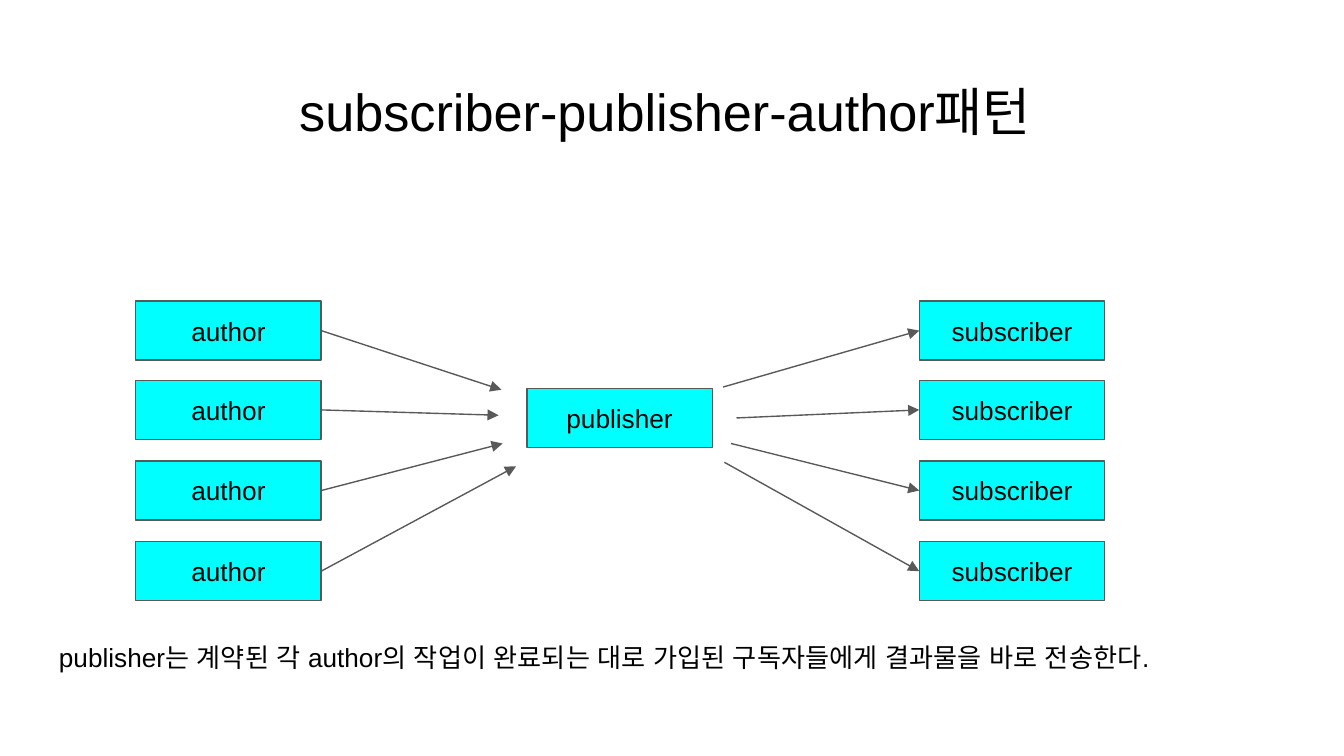
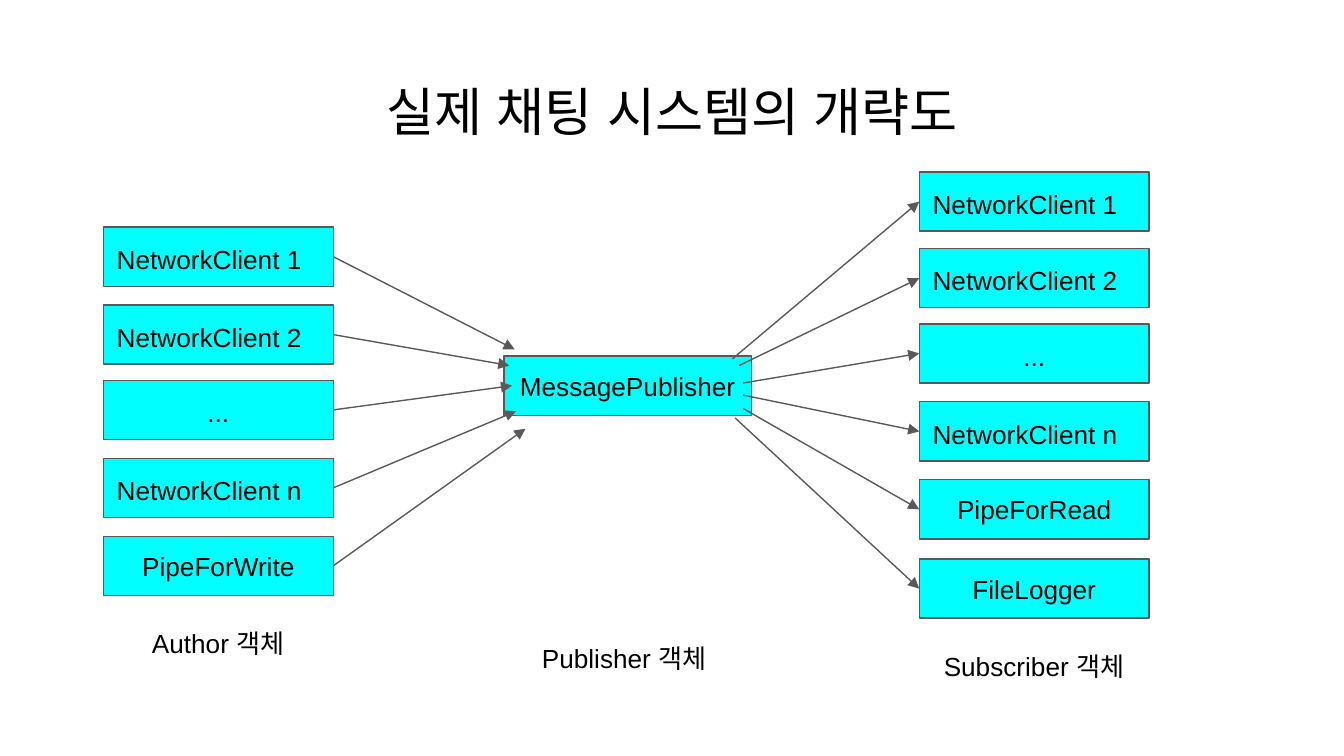
from lxml import etree
from pptx import Presentation
from pptx import util as u
from pptx.dml.color import RGBColor
from pptx.enum import shapes, text
from pptx.oxml.ns import qn

FONT = "Arial"
BLACK, CYAN, GRAY = "000000", "00FFFF", "595959"
SLIDE_WIDTH = 10
BOX_HEIGHT = 0.44
RIGHT_COLUMN = 6.84
LABEL_WIDTH, LABEL_HEIGHT = 1.71, 0.36
LOOSE = 1.15
PATTERN_TOPS = [2.24, 2.83, 3.43, 4.03]

DIAGRAMS = [
    {
        "title": "subscriber-publisher-author패턴 ",
        "box_width": 1.38,
        "authors": {
            "left": 1.01, "tops": PATTERN_TOPS,
            "names": ["author"] * 4,
            "hub_ends": [(3.73, 2.9), (3.71, 3.09), (3.74, 3.3), (3.84, 3.47)],
        },
        "subscribers": {
            "left": RIGHT_COLUMN, "tops": PATTERN_TOPS,
            "names": ["subscriber"] * 4,
            "hub_ends": [(5.38, 2.88), (5.48, 3.11), (5.44, 3.3), (5.39, 3.44)],
        },
        "publisher": ("publisher", 3.92, 2.89, 1.38),
        "body": "publisher는 계약된 각 author의 작업이 완료되는 대로 "
                "가입된 구독자들에게 결과물을 바로 전송한다.",
        "labels": [],
    },
    {
        "title": "실제 채팅 시스템의 개략도",
        "box_width": 1.71,
        "authors": {
            "left": 0.77, "tops": [1.69, 2.27, 2.83, 3.41, 3.99],
            "names": ["NetworkClient 1", "NetworkClient 2", "...",
                      "NetworkClient n", "PipeForWrite"],
            "hub_ends": [(3.83, 2.6), (3.79, 2.72), (3.81, 2.87),
                         (3.84, 3.06), (3.91, 3.19)],
        },
        "subscribers": {
            "left": RIGHT_COLUMN, "tops": [1.28, 1.85, 2.41, 2.99, 3.57, 4.16],
            "names": ["NetworkClient 1", "NetworkClient 2", "...",
                      "NetworkClient n", "PipeForRead", "FileLogger"],
            "hub_ends": [(5.45, 2.67), (5.5, 2.72), (5.53, 2.85),
                         (5.53, 2.94), (5.53, 3.04), (5.47, 3.11)],
        },
        "publisher": ("MessagePublisher", 3.75, 2.65, 1.84),
        "body": None,
        "labels": [("Author 객체", 0.77, 4.57), ("Publisher 객체", 3.79, 4.68),
                   ("Subscriber 객체", RIGHT_COLUMN, 4.74)],
    },
]


def color(hex_value):
    return RGBColor.from_string(hex_value)


def inches(*lengths):
    return [u.Inches(length) for length in lengths]


def write(shape, words, size=14, centered=True, spacing=None,
          anchor=text.MSO_ANCHOR.TOP):
    frame = shape.text_frame
    frame.text = words
    frame.word_wrap = True
    frame.vertical_anchor = anchor
    frame.margin_left = frame.margin_right = u.Inches(0.1)
    frame.margin_top = frame.margin_bottom = u.Inches(0.1)
    paragraph = frame.paragraphs[0]
    paragraph.alignment = text.PP_ALIGN.CENTER if centered else text.PP_ALIGN.LEFT
    if spacing:
        paragraph.line_spacing = spacing
    run = paragraph.runs[0]
    run.font.name, run.font.size = FONT, u.Pt(size)
    run.font.color.rgb = color(BLACK)
    for script in ("a:ea", "a:cs"):
        etree.SubElement(run._r.get_or_add_rPr(), qn(script), typeface=FONT)


def add_text(slide, words, left, top, width, height, **style):
    write(slide.shapes.add_textbox(*inches(left, top, width, height)), words, **style)


def add_box(slide, name, left, top, width):
    box = slide.shapes.add_shape(shapes.MSO_SHAPE.RECTANGLE,
                                 *inches(left, top, width, BOX_HEIGHT))
    box.shadow.inherit = False
    box.fill.solid()
    box.fill.fore_color.rgb = color(CYAN)
    box.line.color.rgb = color(GRAY)
    box.line.width = u.Pt(0.75)
    is_client = name.startswith("NetworkClient")
    write(box, name, centered=not is_client,
          spacing=LOOSE if is_client or name == "..." else None,
          anchor=text.MSO_ANCHOR.MIDDLE)
    return box


def add_column(slide, column, width):
    return [add_box(slide, name, column["left"], top, width)
            for name, top in zip(column["names"], column["tops"])]


def add_arrow(slide, start, end):
    arrow = slide.shapes.add_connector(shapes.MSO_CONNECTOR.STRAIGHT,
                                       *inches(*start, *end))
    arrow.line.color.rgb = color(GRAY)
    arrow.line.width = u.Pt(0.75)
    etree.SubElement(arrow.line._get_or_add_ln(), qn("a:tailEnd"), type="triangle")
    etree.SubElement(arrow._element.spPr, qn("a:effectLst"))
    return arrow


def add_diagram(presentation, diagram):
    slide = presentation.slides.add_slide(presentation.slide_layouts[6])
    add_text(slide, diagram["title"], 0.34, 0.49, 9.32, 0.63, size=28)
    authors, subscribers = diagram["authors"], diagram["subscribers"]
    author_boxes = add_column(slide, authors, diagram["box_width"])
    subscriber_boxes = add_column(slide, subscribers, diagram["box_width"])
    add_box(slide, *diagram["publisher"])
    for box, hub_end in zip(author_boxes, authors["hub_ends"]):
        add_arrow(slide, hub_end, hub_end).begin_connect(box, 3)
    for box, hub_end in zip(subscriber_boxes, subscribers["hub_ends"]):
        add_arrow(slide, hub_end, hub_end).end_connect(box, 1)
    if diagram["body"]:
        add_text(slide, diagram["body"], 0.34, 4.64, 9.32, 0.91,
                 centered=False, spacing=LOOSE)
    for words, left, top in diagram["labels"]:
        add_text(slide, words, left, top, LABEL_WIDTH, LABEL_HEIGHT)


def main():
    presentation = Presentation()
    presentation.slide_width = u.Inches(SLIDE_WIDTH)
    presentation.slide_height = u.Inches(SLIDE_WIDTH * 9 / 16)
    for diagram in DIAGRAMS:
        add_diagram(presentation, diagram)
    presentation.save("out.pptx")


if __name__ == "__main__":
    main()
